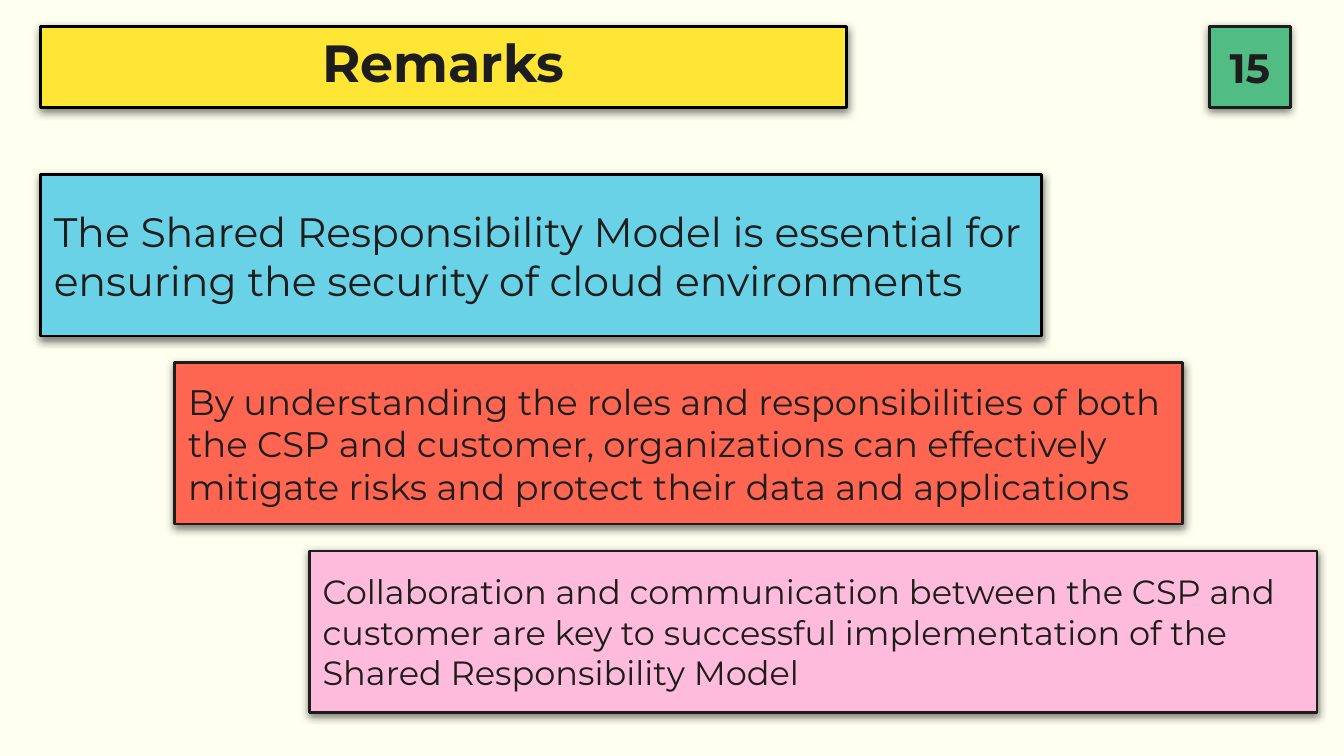
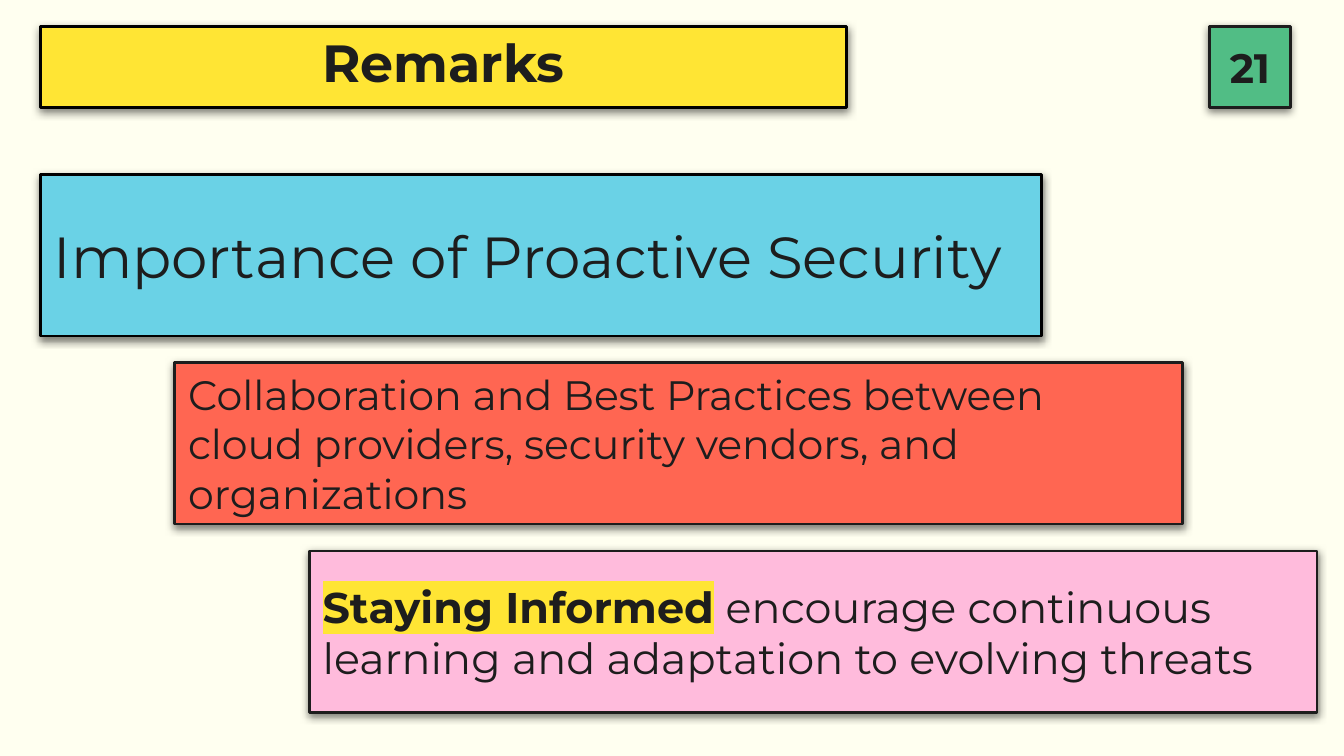
from lxml.etree import SubElement
from pptx import Presentation
from pptx.dml.color import RGBColor
from pptx.enum.shapes import MSO_SHAPE
from pptx.enum.text import MSO_ANCHOR, MSO_AUTO_SIZE, PP_ALIGN
from pptx.oxml.ns import qn
from pptx.util import Inches, Pt

FONT = "Montserrat"
INK, BLACK, CREAM = "1D1D1D", "000000", "FFFFF0"
YELLOW, GREEN, BLUE, RED, PINK = "FFE534", "51BD85", "6AD2E6", "FF6652", "FFBBDC"

# Left, top, width, fill and outline of the three stepped cards
CARDS = [
    (0.3, 1.3, 7.45, BLUE, BLACK),
    (1.3, 2.7, 7.5, RED, INK),
    (2.3, 4.1, 7.5, PINK, INK),
]

# Slide number, then for each card: size, highlighted lead, text
SLIDES = [
    ("15", [
        (22, "", "The Shared Responsibility Model is essential for ensuring "
                 "the security of cloud environments"),
        (19, "", "By understanding the roles and responsibilities of both the CSP and "
                 "customer, organizations can effectively mitigate risks and protect "
                 "their data and applications"),
        (18, "", "Collaboration and communication between the CSP and customer are key "
                 "to successful implementation of the Shared Responsibility Model"),
    ]),
    ("21", [
        (31, "", "Importance of Proactive Security"),
        (22, "", "Collaboration and Best Practices between cloud providers, "
                 "security vendors, and organizations"),
        (23, "Staying Informed",
         " encourage continuous learning and adaptation to evolving threats"),
    ]),
]


def color(hex_value):
    return RGBColor.from_string(hex_value)


def style_box(box, place, fill, outline, parts, size, align, spacing=1.0):
    """Place and paint a box; parts are (text, bold, highlight) runs."""
    box.left, box.top, box.width, box.height = [Inches(value) for value in place]
    box.fill.solid()
    box.fill.fore_color.rgb = color(fill)
    box.line.color.rgb = color(outline)
    box.line.width = Pt(1.5)

    # Soft shadow straight below
    box.shadow.inherit = False
    effects = box.element.spPr.find(qn("a:effectLst"))
    shadow = SubElement(effects, qn("a:outerShdw"), blurRad=str(Pt(4.5)),
                        dist=str(Pt(1.5)), dir="5400000", algn="bl", rotWithShape="0")
    shade = SubElement(shadow, qn("a:srgbClr"), val=BLACK)
    SubElement(shade, qn("a:alpha"), val="50000")

    frame = box.text_frame
    frame.word_wrap = True
    frame.auto_size = MSO_AUTO_SIZE.NONE
    frame.vertical_anchor = MSO_ANCHOR.MIDDLE
    frame.margin_left = frame.margin_right = Inches(0.1)
    frame.margin_top = frame.margin_bottom = Inches(0.1)

    para = frame.paragraphs[0]
    para.alignment = align
    para.line_spacing = spacing
    para.space_before = para.space_after = Pt(0)
    properties = para._p.get_or_add_pPr()
    properties.set("marL", "0")
    properties.set("indent", "0")
    SubElement(properties, qn("a:buNone"))

    for text, bold, highlight in parts:
        span = para.add_run()
        span.text = text
        span.font.size = Pt(size)
        span.font.bold = bold
        span.font.name = FONT
        span.font.color.rgb = color(INK)
        if highlight:
            run_properties = span._r.get_or_add_rPr()
            marker = SubElement(run_properties, qn("a:highlight"))
            SubElement(marker, qn("a:srgbClr"), val=highlight)
            run_properties.find(qn("a:solidFill")).addnext(marker)


# Widescreen deck on a cream background
deck = Presentation()
deck.slide_width = Inches(10)
deck.slide_height = Inches(10 * 9 / 16)
background = deck.slide_master.background.fill
background.solid()
background.fore_color.rgb = color(CREAM)
layout = deck.slide_layouts.get_by_name("Comparison")

for number, remarks in SLIDES:
    page = deck.slides.add_slide(layout)

    # Title band and number badge
    style_box(page.shapes.title, (0.3, 0.2, 6, 0.6), YELLOW, BLACK,
              [("Remarks", True, None)], 28, PP_ALIGN.CENTER, 0.8)
    badge = page.shapes.add_shape(MSO_SHAPE.RECTANGLE, 0, 0, 0, 0)
    style_box(badge, (9, 0.2, 0.6, 0.6), GREEN, INK,
              [(number, True, None)], 22, PP_ALIGN.CENTER)

    # Stepped cards in the body placeholders; the fourth one is not needed
    *bodies, spare = list(page.placeholders)[1:]
    spare.element.getparent().remove(spare.element)
    for body, card, (size, lead, text) in zip(bodies, CARDS, remarks):
        left, top, width, fill, outline = card
        parts = [(lead, True, YELLOW)] if lead else []
        parts.append((text, False, None))
        style_box(body, (left, top, width, 1.2), fill, outline, parts, size, PP_ALIGN.LEFT)

deck.save("out.pptx")
